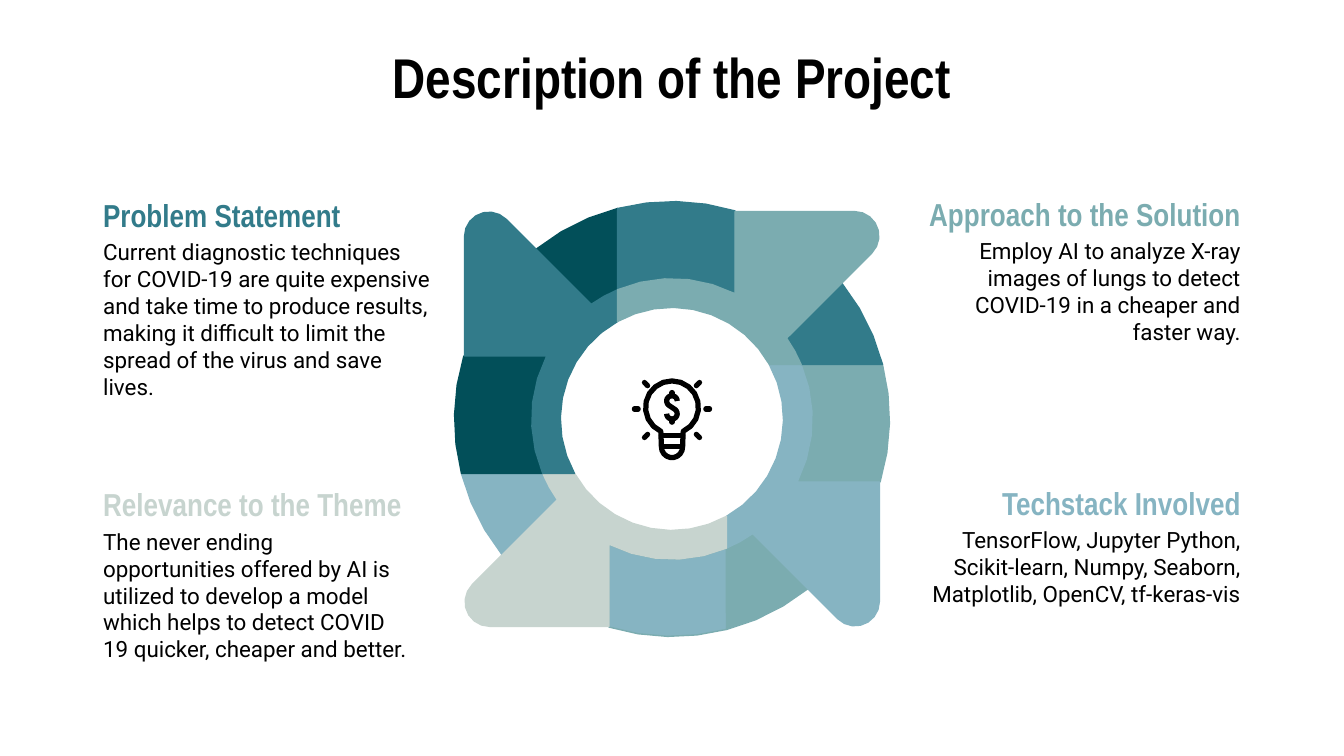
from math import acos, asin, ceil, cos, degrees, radians, sin, sqrt

from lxml import etree
from pptx import Presentation
from pptx.dml.color import RGBColor
from pptx.enum import shapes, text
from pptx.oxml.ns import qn
from pptx.util import Cm, Pt

THEME = {
    "black": "000000", "deep": "024F59", "teal": "327B8A",
    "sage": "7BACB0", "sky": "86B4C2", "mist": "C7D4CF",
    "head_font": "Arial Narrow", "body_font": "Roboto",
    "title": 30, "head": 17, "body": 12, "edge": 0.75, "icon": 2.8,
}

TITLE = "Description of the Project"

# turns: quarter turns clockwise from the top right arrow
# top, head_w, body_w, body_h: caption box in cm
SECTIONS = [
    dict(head="Techstack Involved",
         body="TensorFlow, Jupyter Python, Scikit-learn, Numpy, Seaborn, "
              "Matplotlib, OpenCV, tf-keras-vis",
         turns=1, arrow="sky", ring="sage", side="right",
         top=8.89, head_w=5.03, body_w=6.63, body_h=2.31),
    dict(head="Relevance to the Theme",
         body="The never ending opportunities offered by AI is utilized to develop "
              "a model which helps to detect COVID 19 quicker, cheaper and better.",
         turns=2, arrow="mist", ring="sky", band_edge="sage", side="left",
         top=8.92, head_w=6.48, body_w=6.3, body_h=2.74),
    dict(head="Problem Statement",
         body="Current diagnostic techniques for COVID-19 are quite expensive and "
              "take time to produce results, making it difficult to limit the "
              "spread of the virus and save lives.",
         turns=3, arrow="teal", ring="deep", side="left",
         top=3.45, head_w=6.3, body_w=6.73, body_h=3.43),
    dict(head="Approach to the Solution",
         body="Employ AI to analyze X-ray images of lungs to detect COVID-19 "
              "in a cheaper and faster way.",
         turns=0, arrow="sage", ring="teal", side="right",
         top=3.43, head_w=7.52, body_w=5.66, body_h=1.93),
]

LEFT, RIGHT, HEAD_H = 1.7, 23.7, 0.81
CENTRE, BULB = (12.7, 7.92), (12.7, 7.7)
OUTER, MID, INNER = 4.11, 2.65, 2.11     # ring radii
HALF, TIP = 3.92, 0.46                   # arrow reach and corner radius
NEAR, FAR, BARB = 1.03, 1.19, 0.64       # offsets of the cuts from the centre


def rgb(name):
    return RGBColor.from_string(THEME[name])


def arc(r, start, end, cx=0, cy=0):
    """Points on a circle; angles in degrees, clockwise from the right."""
    steps = ceil(abs(end - start) / (10 if r > 1 else 20))
    angles = [radians(start + (end - start) * i / steps) for i in range(steps + 1)]
    return [(cx + r * cos(a), cy + r * sin(a)) for a in angles]


def wheel_parts():
    """Outlines of the top right arrow and of its two ring pieces."""
    def left(r):
        return -degrees(acos(-NEAR / r))

    def right(r):
        return -degrees(acos(FAR / r))

    def low(r):
        return degrees(asin(-NEAR / r))

    def barb(r):
        return 45 - degrees(acos(BARB / (r * sqrt(2))))

    tip_y = TIP - HALF
    tip_x = BARB - tip_y - TIP * sqrt(2)
    flank = arc(MID, barb(MID), low(MID)) + arc(OUTER, low(OUTER), barb(OUTER))
    band = arc(MID, left(MID), right(MID)) + arc(OUTER, right(OUTER), left(OUTER))
    arrow = ([(FAR, -HALF)] + arc(MID, right(MID), left(MID))
             + arc(INNER, left(INNER), low(INNER)) + arc(MID, low(MID), barb(MID))
             + arc(TIP, 45, -90, tip_x, tip_y))
    return flank, band, arrow


def turn(points, quarters):
    for _ in range(quarters):
        points = [(-y, x) for x, y in points]
    return points


def add_outline(parent, points, centre, line, width, fill=None, close=True):
    pts = [(Cm(centre[0] + x), Cm(centre[1] + y)) for x, y in points]
    builder = parent.build_freeform(*pts[0], scale=1.0)
    builder.add_line_segments(pts[1:], close=close)
    sp = builder.convert_to_shape()
    sp.shadow.inherit = False
    if fill:
        sp.fill.solid()
        sp.fill.fore_color.rgb = rgb(fill)
    else:
        sp.fill.background()
    sp.line.color.rgb = rgb(line)
    sp.line.width = Pt(width)


def add_stroke(parent, start, end):
    """Round-ended icon line, placed from the bulb's centre."""
    ends = [Cm(c + d) for point in (start, end) for c, d in zip(BULB, point)]
    cn = parent.add_connector(shapes.MSO_CONNECTOR.STRAIGHT, *ends)
    cn.line.color.rgb = rgb("black")
    cn.line.width = Pt(THEME["icon"])
    cn.line._get_or_add_ln().set("cap", "rnd")
    etree.SubElement(cn._element.spPr, qn("a:effectLst"))


def add_bulb(slide):
    icon = slide.shapes.add_group_shape().shapes
    glass = arc(0.5, 115, 425) + arc(0.2, 0, 180, 0, 0.75)
    add_outline(icon, glass, BULB, "black", THEME["icon"])
    dollar = arc(0.1, 0, -230, 0, -0.12) + arc(0.1, -50, 180, 0, 0.12)
    add_outline(icon, dollar, BULB, "black", THEME["icon"], close=False)
    for y in (0.53, 0.74):
        add_stroke(icon, (-0.2, y), (0.2, y))
    for y in (-0.28, 0.22):
        add_stroke(icon, (0, y), (0, y + 0.06))
    for sx in (-1, 1):
        add_stroke(icon, (sx * 0.64, 0.03), (sx * 0.71, 0.03))
        for y, dy in ((-0.41, -0.06), (0.51, 0.06)):
            add_stroke(icon, (sx * 0.46, y), (sx * 0.52, y + dy))


def write(sp, words, *, box, size, font, color="black", bold=False, align="LEFT"):
    sp.left, sp.top, sp.width, sp.height = (Cm(v) for v in box)
    tf = sp.text_frame
    tf.word_wrap = True
    tf.auto_size = text.MSO_AUTO_SIZE.NONE
    tf.vertical_anchor = text.MSO_ANCHOR.TOP
    tf.margin_left = tf.margin_right = tf.margin_top = tf.margin_bottom = Cm(0.25)
    p = tf.paragraphs[0]
    p.alignment = getattr(text.PP_ALIGN, align)
    r = p.add_run()
    r.text = words
    r.font.size, r.font.name, r.font.bold = Pt(THEME[size]), THEME[font], bold
    r.font.color.rgb = rgb(color)


def add_caption(slide, s):
    def box(top, width, height):
        x = LEFT if s["side"] == "left" else RIGHT - width
        return x, top, width, height

    align = s["side"].upper()
    for words, place, style in (
        (s["head"], box(s["top"], s["head_w"], HEAD_H),
         dict(size="head", font="head_font", color=s["arrow"], bold=True)),
        (s["body"], box(s["top"] + HEAD_H, s["body_w"], s["body_h"]),
         dict(size="body", font="body_font")),
    ):
        sp = slide.shapes.add_textbox(0, 0, 0, 0)
        write(sp, words, box=place, align=align, **style)


def main():
    prs = Presentation()
    prs.slide_width, prs.slide_height = Cm(25.4), Cm(14.29)
    slide = prs.slides.add_slide(prs.slide_layouts[5])
    write(slide.shapes.title, TITLE, box=(6.43, 0.56, 12.55, 1.73),
          size="title", font="head_font", bold=True, align="CENTER")
    flank, band, arrow = wheel_parts()
    for s in SECTIONS:
        add_caption(slide, s)
        for part, fill, edge in (
            (flank, s["ring"], s["ring"]),
            (band, s["ring"], s.get("band_edge", s["ring"])),
            (arrow, s["arrow"], s["arrow"]),
        ):
            add_outline(slide.shapes, turn(part, s["turns"]), CENTRE,
                        edge, THEME["edge"], fill)
    add_bulb(slide)
    prs.save("out.pptx")


if __name__ == "__main__":
    main()
